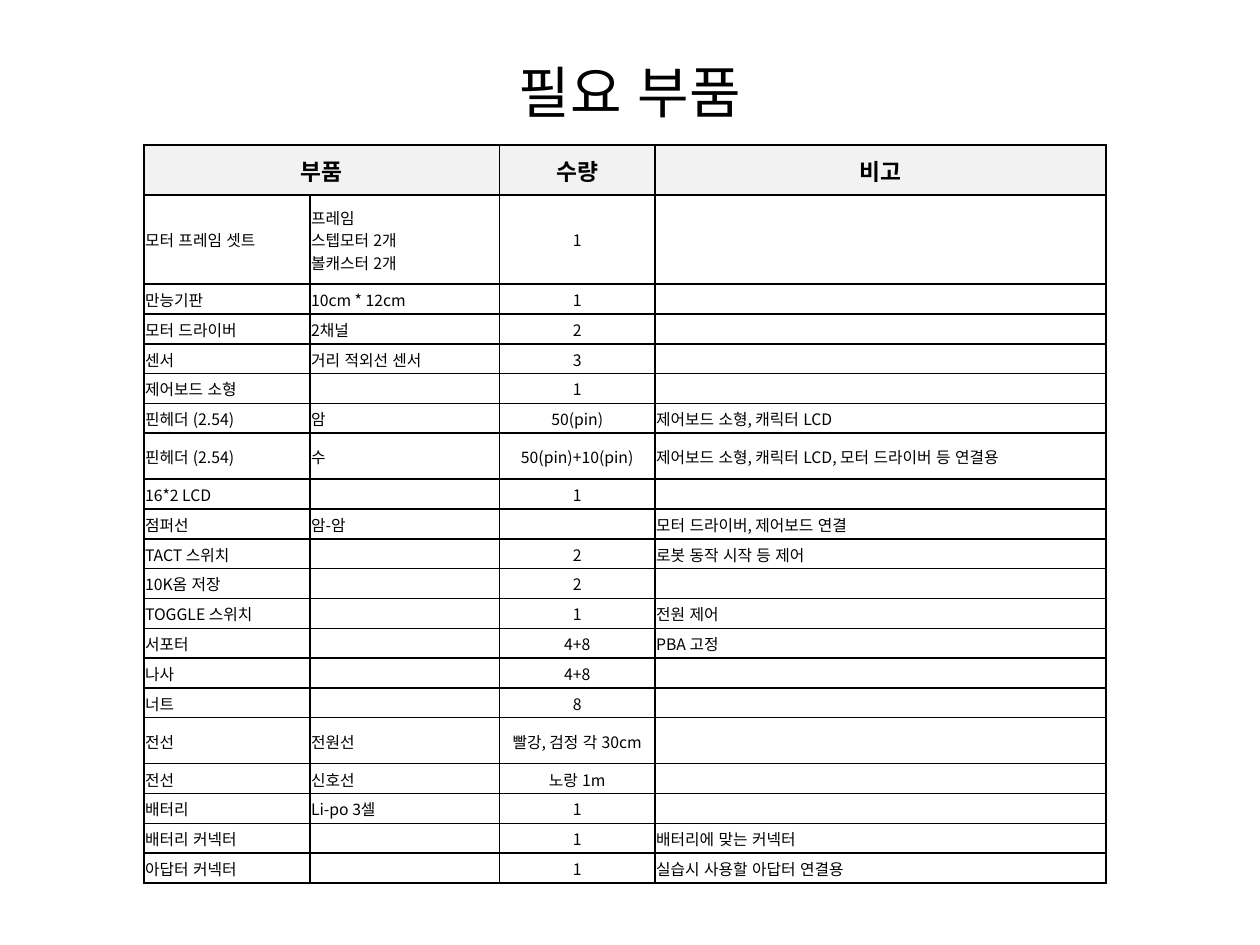
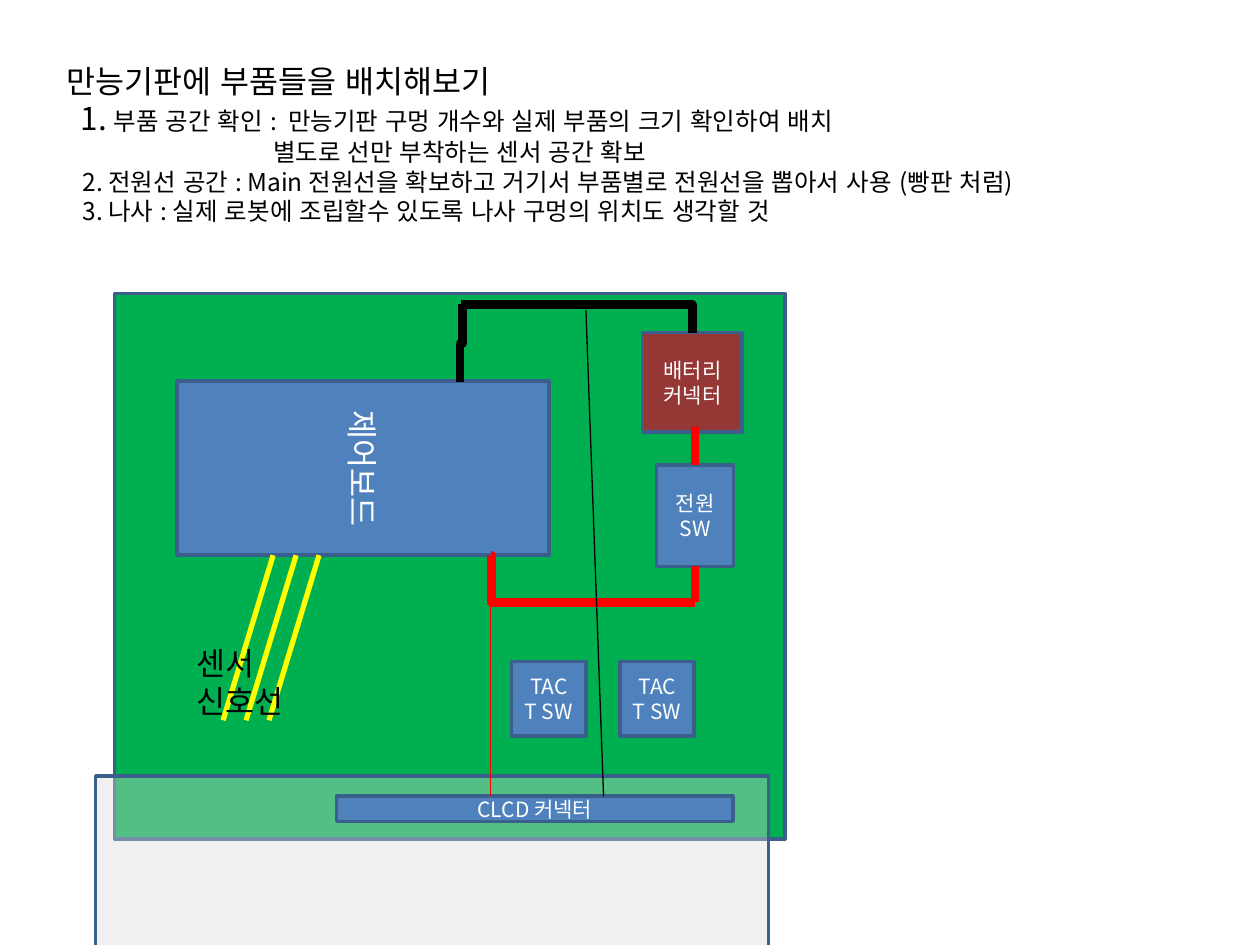
from pptx import Presentation
from pptx.dml.color import RGBColor
from pptx.enum.lang import MSO_LANGUAGE_ID
from pptx.enum.shapes import MSO_CONNECTOR, MSO_SHAPE
from pptx.enum.text import MSO_ANCHOR, PP_ALIGN
from pptx.oxml.ns import qn
from pptx.util import Pt
from lxml.etree import SubElement

FONT = "Noto Sans CJK KR"
BLACK = RGBColor(0x00, 0x00, 0x00)
WHITE = RGBColor(0xFF, 0xFF, 0xFF)
HEADER_GRAY = RGBColor(0xF2, 0xF2, 0xF2)
PANEL_GRAY = RGBColor(0xD9, 0xD9, 0xD9)
BOARD_GREEN = RGBColor(0x00, 0xB0, 0x50)
PART_BLUE = RGBColor(0x4F, 0x81, 0xBD)
OUTLINE_BLUE = RGBColor(0x3A, 0x5F, 0x8C)
BATTERY_RED = RGBColor(0x95, 0x37, 0x35)
WIRE_RED = RGBColor(0xFF, 0x00, 0x00)
WIRE_YELLOW = RGBColor(0xFF, 0xFF, 0x00)

PARTS_TITLE = "필요 부품"
PARTS = [
    ("부품", "", "수량", "비고"),
    ("모터 프레임 셋트", "프레임\v스텝모터 2개\v볼캐스터 2개", "1", ""),
    ("만능기판", "10cm * 12cm", "1", ""),
    ("모터 드라이버", "2채널", "2", ""),
    ("센서", "거리 적외선 센서", "3", ""),
    ("제어보드 소형", "", "1", ""),
    ("핀헤더 (2.54)", "암", "50(pin)", "제어보드 소형, 캐릭터 LCD"),
    ("핀헤더 (2.54)", "수", "50(pin)+10(pin)", "제어보드 소형, 캐릭터 LCD, 모터 드라이버 등 연결용"),
    ("16*2 LCD", "", "1", ""),
    ("점퍼선", "암-암", "", "모터 드라이버, 제어보드 연결"),
    ("TACT 스위치", "", "2", "로봇 동작 시작 등 제어"),
    ("10K옴 저장", "", "2", ""),
    ("TOGGLE 스위치", "", "1", "전원 제어"),
    ("서포터", "", "4+8", "PBA 고정"),
    ("나사", "", "4+8", ""),
    ("너트", "", "8", ""),
    ("전선", "전원선", "빨강, 검정 각 30cm", ""),
    ("전선", "신호선", "노랑 1m", ""),
    ("배터리", "Li-po 3셀", "1", ""),
    ("배터리 커넥터", "", "1", "배터리에 맞는 커넥터"),
    ("아답터 커넥터", "", "1", "실습시 사용할 아답터 연결용"),
]
COLUMN_WIDTHS = [94.9, 108.3, 88.9, 257.7]
ROW_HEIGHT = 17.06
SPECIAL_ROW_HEIGHTS = {0: 28.6, 1: 51, 7: 26.3, 16: 26.3}
QUANTITY_COLUMN = 2

INSTRUCTIONS = [
    (0, [("만능기판에 부품들을 배치해보기", 18)]),
    (8, [("1. ", 18), ("부품 공간 확인 :  만능기판 구멍 개수와 실제 부품의 크기 확인하여 배치", 14)]),
    (118, [("별도로 선만 부착하는 센서 공간 확보", 14)]),
    (9, [("2. 전원선 공간 : Main 전원선을 확보하고 거기서 부품별로 전원선을 뽑아서 사용 (빵판 처럼)", 14)]),
    (9, [("3. 나사 : 실제 로봇에 조립할수 있도록 나사 구멍의 위치도 생각할 것", 14)]),
]
CONTROLLER_LABEL = "제어보드"
SENSOR_LABEL = "센서 신호선"

BOARD_BOX = (65.5, 167.8, 383, 311.8)
CONTROLLER_BOX = (157.7, 161.3, 99.4, 212.4)
BATTERY_BOX = (367.2, 190.1, 56.9, 56.9)
SWITCH_BOX = (375.1, 265.7, 44.2, 58)
TACT_LEFTS = (354.2, 292.3)
TACT_TOP, TACT_SIZE = 378, 42.5
LCD_PANEL_BOX = (54.7, 443.5, 384.5, 121)
LCD_CONNECTOR_BOX = (192.2, 455, 226.8, 14.4)
BUS_X, RED_BUS_Y, SWITCH_X = 280.5, 344.2, 397.2
SENSOR_WIRES, SENSOR_WIRE_STEP = 3, 13.1


def points(values):
    return [Pt(value) for value in values]


def format_run(run, size, color=BLACK, bold=False):
    run.font.size = Pt(size)
    run.font.bold = bold
    run.font.color.rgb = color
    run.font.name = FONT
    run.font.language_id = MSO_LANGUAGE_ID.KOREAN
    SubElement(run.font._element, qn("a:ea")).set("typeface", FONT)


def set_text(text_frame, text, size, color=BLACK, align=PP_ALIGN.LEFT, bold=False):
    text_frame.text = text
    paragraph = text_frame.paragraphs[0]
    paragraph.alignment = align
    for run in paragraph.runs:
        format_run(run, size, color, bold)


def add_text_box(slide, box):
    text_frame = slide.shapes.add_textbox(*points(box)).text_frame
    text_frame.word_wrap = True
    return text_frame


def add_box(shapes, box, fill, text="", size=12, rotation=0):
    shape = shapes.add_shape(MSO_SHAPE.RECTANGLE, *points(box))
    shape.shadow.inherit = False
    shape.rotation = rotation
    shape.fill.solid()
    shape.fill.fore_color.rgb = fill
    shape.line.color.rgb = OUTLINE_BLUE
    shape.line.width = Pt(2)
    if text:
        shape.text_frame.word_wrap = True
        shape.text_frame.vertical_anchor = MSO_ANCHOR.MIDDLE
        set_text(shape.text_frame, text, size, WHITE, PP_ALIGN.CENTER)
    return shape


def add_wire(slide, start, end, color, width, kind=MSO_CONNECTOR.STRAIGHT):
    wire = slide.shapes.add_connector(kind, *points(start + end))
    wire.line.color.rgb = color
    wire.line.width = Pt(width)
    SubElement(wire._element.spPr, qn("a:effectLst"))
    return wire


def add_cell_borders(cell):
    properties = cell._tc.get_or_add_tcPr()
    for side in ("lnL", "lnR", "lnT", "lnB"):
        border = SubElement(properties, qn(f"a:{side}"), w=str(Pt(1)))
        fill = SubElement(border, qn("a:solidFill"))
        SubElement(fill, qn("a:srgbClr"), val=str(BLACK))


def fill_cell(cell, text, is_header, is_centered):
    cell.margin_left = cell.margin_right = cell.margin_top = Pt(0.7)
    cell.margin_bottom = Pt(0)
    cell.vertical_anchor = MSO_ANCHOR.MIDDLE
    add_cell_borders(cell)
    cell.fill.solid()
    cell.fill.fore_color.rgb = HEADER_GRAY if is_header else WHITE
    if text:
        align = PP_ALIGN.CENTER if is_centered else PP_ALIGN.LEFT
        set_text(cell.text_frame, text, 13 if is_header else 9, align=align, bold=is_header)
    else:
        cell.text_frame.paragraphs[0]._p.get_or_add_endParaRPr().set("sz", "900")


def build_parts_slide(slide):
    title = add_text_box(slide, (36, 21.6, 648, 61.2))
    title.vertical_anchor = MSO_ANCHOR.MIDDLE
    set_text(title, PARTS_TITLE, 32, align=PP_ALIGN.CENTER)

    heights = [SPECIAL_ROW_HEIGHTS.get(row, ROW_HEIGHT) for row in range(len(PARTS))]
    box = (82.2, 82.8, sum(COLUMN_WIDTHS), sum(heights))
    table = slide.shapes.add_table(len(PARTS), len(COLUMN_WIDTHS), *points(box)).table
    table.first_row = table.horz_banding = False
    for column, width in zip(table.columns, COLUMN_WIDTHS):
        column.width = Pt(width)
    for row_index, (part, height) in enumerate(zip(PARTS, heights)):
        table.rows[row_index].height = Pt(height)
        is_header = row_index == 0
        for column_index, text in enumerate(part):
            is_centered = is_header or column_index == QUANTITY_COLUMN
            fill_cell(table.cell(row_index, column_index), text, is_header, is_centered)
    table.cell(0, 0).merge(table.cell(0, 1))


def add_instructions(slide):
    text_frame = add_text_box(slide, (31, 31.7, 610.6, 101.5))
    for index, (indent, pieces) in enumerate(INSTRUCTIONS):
        paragraph = text_frame.add_paragraph() if index else text_frame.paragraphs[0]
        paragraph._p.get_or_add_pPr().set("marL", str(Pt(indent)))
        for text, size in pieces:
            run = paragraph.add_run()
            run.text = text
            format_run(run, size)


def add_lcd(slide):
    group = slide.shapes.add_group_shape()
    panel = add_box(group.shapes, LCD_PANEL_BOX, PANEL_GRAY)
    color = panel.fill._xPr.find(qn("a:solidFill"))[0]
    SubElement(color, qn("a:alpha"), val="39000")
    add_box(group.shapes, LCD_CONNECTOR_BOX, PART_BLUE, "CLCD 커넥터")


def add_power_wires(slide, battery, switch):
    jog = add_wire(slide, (241.2, 195.6), (285.8, 196.8), BLACK, 5, MSO_CONNECTOR.ELBOW)
    jog._element.spPr.find(qn("a:xfrm")).set("rot", str(90 * 60000))

    battery_wire = add_wire(slide, (SWITCH_X, 244.1), (SWITCH_X, 265.7), WIRE_RED, 5)
    battery_wire.end_connect(switch, 0)

    red_bus = add_wire(slide, (BUS_X, 317.5), (SWITCH_X, RED_BUS_Y), WIRE_RED, 5, MSO_CONNECTOR.ELBOW)
    adjustments = red_bus._element.spPr.find(qn("a:prstGeom")).find(qn("a:avLst"))
    SubElement(adjustments, qn("a:gd"), name="adj1", fmla="val 500")

    switch_wire = add_wire(slide, (SWITCH_X, 323.7), (SWITCH_X, RED_BUS_Y), WIRE_RED, 5)
    switch_wire.begin_connect(switch, 2)

    black_bus = add_wire(slide, (263.5, 174.2), (395.6, 190.1), BLACK, 5, MSO_CONNECTOR.ELBOW)
    black_bus._element.spPr.find(qn("a:prstGeom")).set("prst", "bentConnector2")
    black_bus.end_connect(battery, 0)

    lcd_top = LCD_CONNECTOR_BOX[1]
    add_wire(slide, (BUS_X, RED_BUS_Y), (BUS_X, lcd_top), WIRE_RED, 0.75)
    add_wire(slide, (334.8, 177.1), (344.9, lcd_top), BLACK, 0.75)


def build_board_slide(slide):
    shapes = slide.shapes
    add_box(shapes, BOARD_BOX, BOARD_GREEN)
    add_box(shapes, CONTROLLER_BOX, PART_BLUE, CONTROLLER_LABEL, 18, rotation=90)
    battery = add_box(shapes, BATTERY_BOX, BATTERY_RED, "배터리 커넥터")
    for left in TACT_LEFTS:
        add_box(shapes, (left, TACT_TOP, TACT_SIZE, TACT_SIZE), PART_BLUE, "TACT SW")
    add_instructions(slide)
    add_lcd(slide)
    switch = add_box(shapes, SWITCH_BOX, PART_BLUE, "전원 SW")
    add_power_wires(slide, battery, switch)
    for index in range(SENSOR_WIRES):
        offset = index * SENSOR_WIRE_STEP
        add_wire(slide, (156.1 + offset, 317.3), (127.5 + offset, 411.6), WIRE_YELLOW, 3)
    set_text(add_text_box(slide, (105.1, 364.3, 73.4, 51.1)), SENSOR_LABEL, 18)


def main():
    presentation = Presentation()
    presentation.slide_width, presentation.slide_height = Pt(720), Pt(540)
    blank = presentation.slide_layouts[6]
    for build in (build_parts_slide, build_board_slide):
        build(presentation.slides.add_slide(blank))
    presentation.save("out.pptx")


if __name__ == "__main__":
    main()
